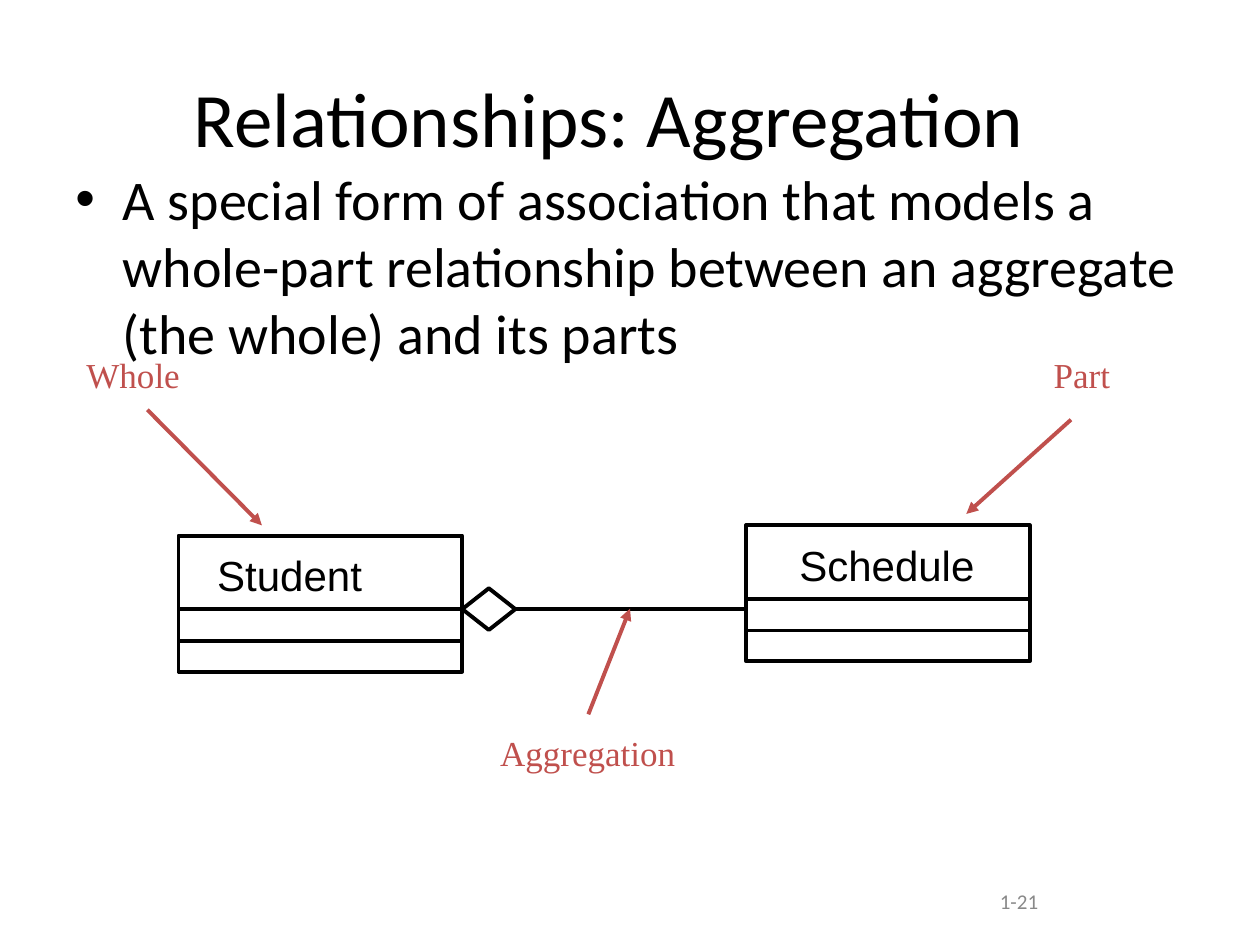
import pptx
import pptx.util
import pptx.dml.color
import pptx.enum.shapes
import pptx.enum.text
import pptx.oxml
import pptx.oxml.ns

Cm, Pt = pptx.util.Cm, pptx.util.Pt
ALIGN = pptx.enum.text.PP_ALIGN
ANCHOR = pptx.enum.text.MSO_ANCHOR
SHAPE = pptx.enum.shapes.MSO_SHAPE
BLACK = pptx.dml.color.RGBColor(0x00, 0x00, 0x00)
RED = pptx.dml.color.RGBColor(0xC0, 0x50, 0x4D)
GRAY = pptx.dml.color.RGBColor(0x89, 0x89, 0x89)

deck = pptx.Presentation()
deck.slide_width, deck.slide_height = Cm(25.4), Cm(19.05)
slide = deck.slides.add_slide(deck.slide_layouts[1])


def write(holder, box, text, font, size, color, align, before=0,
          anchor=ANCHOR.TOP, inset=(0.25, 0.13)):
    """Place a text holder and fill it with one formatted paragraph."""
    holder.left, holder.top, holder.width, holder.height = map(Cm, box)
    frame = holder.text_frame
    frame.text = text
    paragraph = frame.paragraphs[0]
    side, end = map(Cm, inset)
    formats = {
        frame: {"word_wrap": True, "vertical_anchor": anchor,
                "auto_size": pptx.enum.text.MSO_AUTO_SIZE.NONE,
                "margin_left": side, "margin_right": side,
                "margin_top": end, "margin_bottom": end},
        paragraph: {"alignment": align, "space_before": Pt(before)},
        paragraph.runs[0].font: {"name": font, "size": Pt(size)},
    }
    for target, values in formats.items():
        for attribute, value in values.items():
            setattr(target, attribute, value)
    paragraph.runs[0].font.color.rgb = color


def connect(start, end, color, arrow=False):
    """Draw a straight line, with an arrowhead at its end if wanted."""
    line = slide.shapes.add_connector(
        pptx.enum.shapes.MSO_CONNECTOR.STRAIGHT, *map(Cm, start + end))
    line.line.color.rgb = color
    line.line.width = Pt(2.25)
    if arrow:
        head = pptx.oxml.parse_xml(
            f'<a:tailEnd {pptx.oxml.ns.nsdecls("a")} type="triangle"/>')
        line.line._get_or_add_ln().append(head)
    line._element.spPr.append(pptx.oxml.parse_xml(
        f'<a:effectLst {pptx.oxml.ns.nsdecls("a")}/>'))


# Title and definition
write(slide.shapes.title, (1.27, 0.76, 22.02, 3.18), "Relationships: Aggregation",
      "Calibri", 44, BLACK, ALIGN.CENTER, anchor=ANCHOR.MIDDLE)
write(slide.placeholders[1], (1.27, 3.18, 22.86, 12.57),
      "A special form of association that models a whole-part relationship "
      "between an aggregate (the whole) and its parts",
      "Calibri", 32, BLACK, ALIGN.LEFT, before=8)

# Class boxes and the aggregation diamond
class_width, class_height = 5.72, 2.74
outlines = [(SHAPE.DIAMOND, (9.32, 11.86, 1.07, 0.84))]
for class_name, left, top, align in (("Student", 3.6, 10.8, ALIGN.LEFT),
                                     ("Schedule", 15.04, 10.59, ALIGN.CENTER)):
    outlines.append((SHAPE.RECTANGLE, (left, top, class_width, class_height)))
    for divider in (1.48, 2.12):
        connect((left, top + divider), (left + class_width, top + divider), BLACK)
    write(slide.shapes.add_textbox(0, 0, 0, 0), (left + 0.53, top + 0.15, 4.62, 1.27),
          class_name, "Arial", 24, BLACK, align, before=15)

for kind, box in outlines:
    outline = slide.shapes.add_shape(kind, *map(Cm, box))
    outline.shadow.inherit = False
    outline.fill.background()
    outline.line.color.rgb = BLACK
    outline.line.width = Pt(2.25)

# Association line
connect((10.36, 12.27), (15.04, 12.27), BLACK)

# Callouts with arrows
for label, box, start, end in (
    ("Whole", (0.36, 6.98, 4.65, 1.14), (2.97, 8.26), (5.28, 10.59)),
    ("Aggregation", (8.89, 14.6, 5.92, 1.14), (11.86, 14.4), (12.7, 12.27)),
    ("Part", (18.85, 6.98, 5.92, 1.14), (21.59, 8.46), (19.48, 10.36)),
):
    write(slide.shapes.add_textbox(0, 0, 0, 0), box, label, "Times New Roman", 20,
          RED, ALIGN.CENTER, before=12.5, inset=(0.3, 0.15))
    connect(start, end, RED, arrow=True)

# Page number
write(slide.shapes.add_textbox(0, 0, 0, 0), (18.21, 17.65, 2.97, 1.02), "1-21",
      "Calibri", 12, GRAY, ALIGN.RIGHT, anchor=ANCHOR.MIDDLE)

deck.save("out.pptx")
